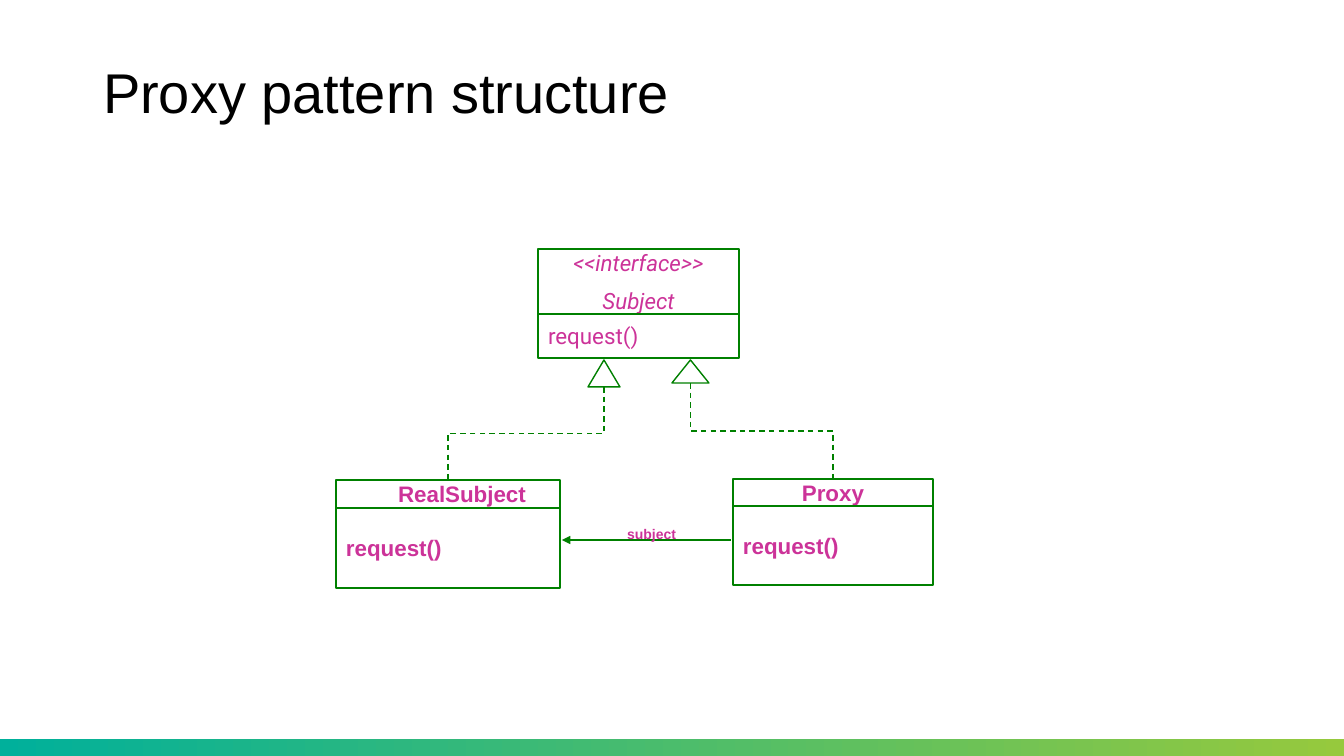
from pptx import Presentation
from pptx.dml.color import RGBColor
from pptx.enum.dml import MSO_LINE
from pptx.enum.shapes import MSO_CONNECTOR, MSO_SHAPE
from pptx.enum.text import MSO_ANCHOR, PP_ALIGN
from pptx.oxml.ns import qn
from pptx.util import Pt
from lxml import etree

RECT, TRIANGLE = MSO_SHAPE.RECTANGLE, MSO_SHAPE.ISOSCELES_TRIANGLE
STRAIGHT, ELBOW = MSO_CONNECTOR.STRAIGHT, MSO_CONNECTOR.ELBOW
LEFT, CENTER = PP_ALIGN.LEFT, PP_ALIGN.CENTER
MIDDLE = MSO_ANCHOR.MIDDLE
DASH = MSO_LINE.DASH

# Content: lengths in px, 1344 x 756
TITLE = "Proxy pattern structure"
COLORS = {"line": "008000", "text": "CC3399", "title": "000000",
          "bar_start": "00B09B", "bar_end": "96C93D"}
INSET = 10
CLASSES = [
    dict(name=["<<interface>>", "Subject"], method="request()", left=538, top=249,
         width=201, heights=(65, 44), font="Roboto", bold=False, indent=INSET),
    dict(name=["RealSubject"], method="request()", left=336, top=480,
         width=224, heights=(28, 80), font="Arial", bold=True, indent=38),
    dict(name=["Proxy"], method="request()", left=733, top=479,
         width=200, heights=(27, 79), font="Arial", bold=True, indent=INSET),
]
# Triangle (left, top, width, height) and the point where its dashed line ends
REALIZATIONS = [((588, 360, 32, 27), (448, 480)),
                ((672, 360, 37, 23), (833, 479))]
ARROW = (731, 540, 562, 540)
ARROW_LABEL = ("subject", (597, 521, 109, 26))

SCALE = 914400 / 100.8


def px(*values):
    return [round(v * SCALE) for v in values]


def rgb(key):
    return RGBColor.from_string(COLORS[key])


def style_line(line):
    line.color.rgb = rgb("line")
    line.width = Pt(1)


def write(sp, lines, font, size, bold=False, italic=False, align=CENTER, indent=INSET):
    tf = sp.text_frame
    tf.word_wrap = False
    tf.vertical_anchor = MIDDLE
    tf.margin_left = px(indent)[0]
    for i, line in enumerate(lines):
        p = tf.paragraphs[0] if i == 0 else tf.add_paragraph()
        p.text = line
        p.alignment = align
        p.space_before = Pt(size / 2 if i else 0)
        p.font.name, p.font.size = font, Pt(size)
        p.font.bold, p.font.italic = bold, italic
        p.font.color.rgb = rgb("text")


def add_outline(shapes, kind, box):
    sp = shapes.add_shape(kind, *px(*box))
    sp.shadow.inherit = False
    sp.fill.background()
    style_line(sp.line)
    return sp


def add_line(shapes, kind, *ends):
    cxn = shapes.add_connector(kind, *px(*ends))
    style_line(cxn.line)
    etree.SubElement(cxn._element.spPr, qn("a:effectLst"))
    return cxn


def add_vertical_elbow(shapes, x1, y1, x2, y2):
    """Elbow that leaves downwards: a sideways one turned about its centre."""
    w, h = y2 - y1, abs(x2 - x1)
    left, top = (x1 + x2 - w) / 2, (y1 + y2 - h) / 2
    cxn = add_line(shapes, ELBOW, left, top, left + w, top + h)
    cxn.line.dash_style = DASH
    xfrm = cxn._element.spPr.find(qn("a:xfrm"))
    if x2 < x1:
        xfrm.set("rot", str(90 * 60000))
    else:
        xfrm.set("rot", str(270 * 60000))
        xfrm.set("flipH", "1")


prs = Presentation()
prs.slide_width, prs.slide_height = px(1344, 756)
s = prs.slides.add_slide(prs.slide_layouts[5])

# Title
title = s.shapes.title
title.left, title.top, title.width, title.height = px(93, 40, 1159, 110)
title.text_frame.text = TITLE
title.text_frame.vertical_anchor = MIDDLE
p = title.text_frame.paragraphs[0]
p.alignment = LEFT
p.line_spacing = 0.9
p.font.name, p.font.size = "Arial", Pt(40)
p.font.color.rgb = rgb("title")

# Bottom bar
bar = s.shapes.add_shape(RECT, *px(0, 739, 1344, 17))
bar.shadow.inherit = False
bar.line.fill.background()
bar.fill.gradient()
bar.fill.gradient_angle = 0
for stop, key, position in zip(bar.fill.gradient_stops, ("bar_start", "bar_end"), (0, 1)):
    stop.color.rgb = rgb(key)
    stop.position = position

# Class boxes: name above, method below
for c in CLASSES:
    name_h, method_h = c["heights"]
    name = add_outline(s.shapes, RECT, (c["left"], c["top"], c["width"], name_h))
    write(name, c["name"], c["font"], 16, c["bold"], italic=not c["bold"], indent=c["indent"])
    method = add_outline(s.shapes, RECT, (c["left"], c["top"] + name_h, c["width"], method_h))
    write(method, [c["method"]], c["font"], 16, c["bold"], align=LEFT)

# Realization arrows
for box, end in REALIZATIONS:
    left, top, width, height = box
    add_outline(s.shapes, TRIANGLE, box)
    add_vertical_elbow(s.shapes, left + width / 2, top + height, *end)

# Association from Proxy to RealSubject
arrow = add_line(s.shapes, STRAIGHT, *ARROW)
etree.SubElement(arrow.line._get_or_add_ln(), qn("a:tailEnd"), type="triangle")
label, box = ARROW_LABEL
write(s.shapes.add_textbox(*px(*box)), [label], "Arial", 10, bold=True)

prs.save("out.pptx")
